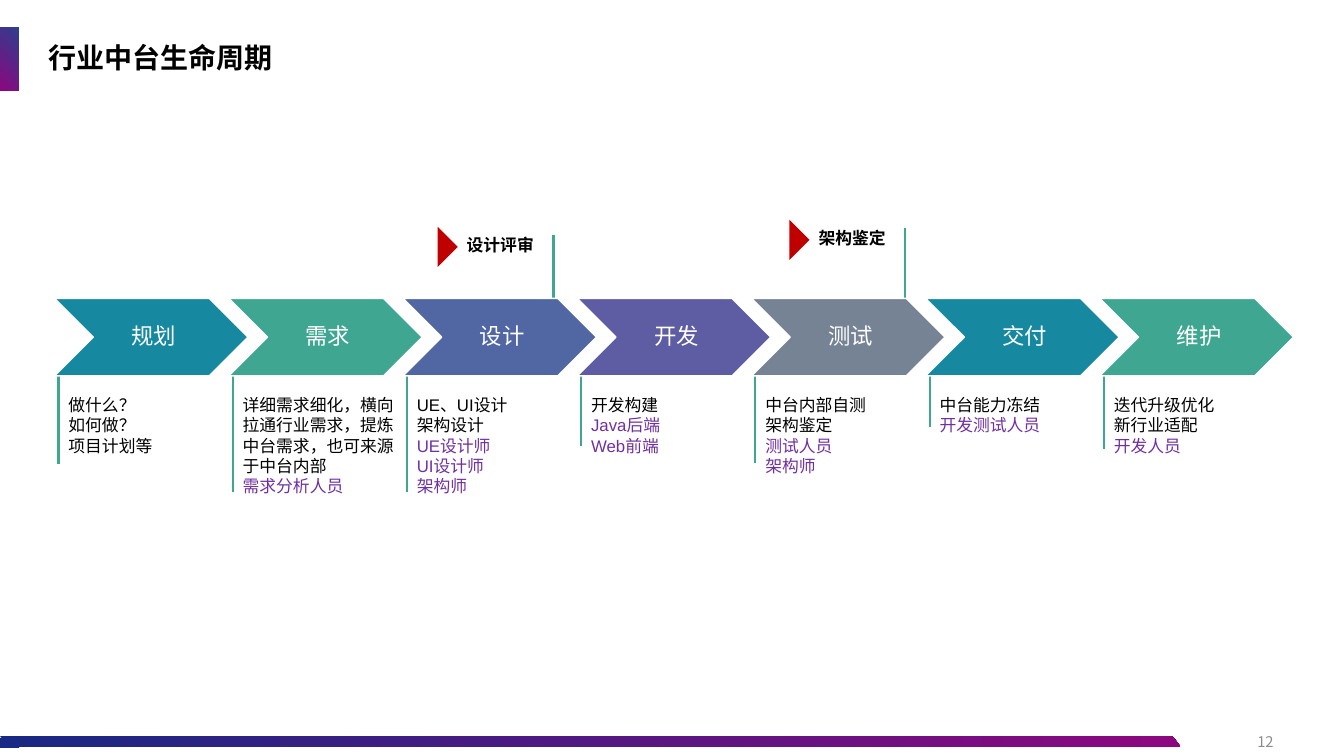
from lxml.etree import SubElement
from pptx import Presentation
from pptx.dml.color import RGBColor
from pptx.enum.shapes import MSO_CONNECTOR, MSO_SHAPE
from pptx.enum.text import MSO_ANCHOR, MSO_AUTO_SIZE, PP_ALIGN
from pptx.oxml.ns import qn
from pptx.util import Inches, Pt

BLACK, WHITE, PURPLE, RED = "000000", "FFFFFF", "7030A0", "C00000"
TEAL, GREEN, BLUE, VIOLET, GREY = "1689A0", "3FA692", "5167A4", "5E5CA2", "768395"
NAVY, MAGENTA = "182983", "8D0780"
LATIN_FONT, CHINESE_FONT = "Arial", "Noto Sans CJK SC"
STAGE_LEFT, STAGE_TOP, STAGE_PITCH = 0.54, 2.96, 1.728
NOTE_LEFT, NOTE_TOP, RULE_TOP = 0.58, 3.87, 3.72

STAGES = [
    ("规划", TEAL, 4.6, ["做什么？", "如何做？", "项目计划等"], []),
    ("需求", GREEN, 4.88,
     ["详细需求细化，横向拉通行业需求，提炼中台需求，也可来源于中台内部"], ["需求分析人员"]),
    ("设计", BLUE, 4.88, ["UE、UI设计", "架构设计"], ["UE设计师", "UI设计师", "架构师"]),
    ("开发", VIOLET, 4.42, ["开发构建"], ["Java后端", "Web前端"]),
    ("测试", GREY, 4.59, ["中台内部自测", "架构鉴定"], ["测试人员", "架构师"]),
    ("交付", TEAL, 4.24, ["中台能力冻结"], ["开发测试人员"]),
    ("维护", GREEN, 4.45, ["迭代升级优化", "新行业适配"], ["开发人员"]),
]
REVIEWS = [("设计评审", 5.49, 2.33), ("架构鉴定", 8.98, 2.26)]


def color(value):
    return RGBColor.from_string(value)


def add_span(para, text, size, ink, bold=False, font=LATIN_FONT):
    span = para.add_run()
    span.text = text
    span.font.size = Pt(size)
    span.font.bold = bold
    span.font.color.rgb = color(ink)
    span.font.name = font
    SubElement(span.font._element, qn("a:ea"), typeface=CHINESE_FONT)


def add_text(page, left, top, width, height, lines, size, bold=False, wrap=True,
             anchor=MSO_ANCHOR.TOP, align=PP_ALIGN.LEFT, spacing=1.0, font=LATIN_FONT):
    box = page.shapes.add_textbox(Inches(left), Inches(top), Inches(width), Inches(height))
    frame = box.text_frame
    frame.word_wrap = wrap
    frame.vertical_anchor = anchor
    if anchor == MSO_ANCHOR.TOP:
        frame.auto_size = MSO_AUTO_SIZE.SHAPE_TO_FIT_TEXT
    for index, (text, ink) in enumerate(lines):
        para = frame.add_paragraph() if index else frame.paragraphs[0]
        para.alignment = align
        para.line_spacing = spacing
        add_span(para, text, size, ink, bold, font)


def add_block(page, kind, left, top, width, height, fill=None):
    shape = page.shapes.add_shape(
        kind, Inches(left), Inches(top), Inches(width), Inches(height))
    shape.shadow.inherit = False
    shape.line.fill.background()
    if fill:
        shape.fill.solid()
        shape.fill.fore_color.rgb = color(fill)
    return shape


def fill_gradient(shape, angle):
    shape.fill.gradient()
    shape.fill.gradient_angle = angle
    for stop, position, tint in zip(shape.fill.gradient_stops, (0, 1), (NAVY, MAGENTA)):
        stop.position = position
        stop.color.rgb = color(tint)


def add_rule(page, x, top, bottom):
    rule = page.shapes.add_connector(
        MSO_CONNECTOR.STRAIGHT, Inches(x), Inches(top), Inches(x), Inches(bottom))
    rule.line.color.rgb = color(GREEN)
    rule.line.width = Pt(1.5)
    SubElement(rule._element.spPr, qn("a:effectLst"))


def add_frame(page):
    marker = add_block(page, MSO_SHAPE.RECTANGLE, 0, 0.27, 0.18, 0.63)
    fill_gradient(marker, 225)
    first_stop = marker._element.spPr.find(".//" + qn("a:srgbClr"))
    SubElement(first_stop, qn("a:alpha"), val="90000")
    add_text(page, 9.73, 7.16, 3, 0.4, [("12", "8C8C8C")], 10.5,
             anchor=MSO_ANCHOR.MIDDLE, align=PP_ALIGN.RIGHT, font=CHINESE_FONT)
    footer = add_block(page, MSO_SHAPE.PARALLELOGRAM, 0, 7.3, 11.71, 0.11)
    footer.adjustments[0] = 0.775
    footer._element.spPr.xfrm.set("flipH", "1")
    fill_gradient(footer, 180)
    add_block(page, MSO_SHAPE.RECTANGLE, 0, 7.32, 0.19, 0.1, "1A2983")
    add_text(page, 0.38, 0.27, 11.1, 0.63, [("行业中台生命周期", BLACK)], 20,
             bold=True, anchor=MSO_ANCHOR.MIDDLE, spacing=0.9)


def add_review(page, label, x, top):
    add_rule(page, x, top, top + 0.86)
    add_text(page, x - 0.96, top - 0.05, 0.88, 0.3, [(label, BLACK)], 12,
             bold=True, wrap=False)
    flag = add_block(page, MSO_SHAPE.FLOWCHART_MERGE, x - 1.25, top + 0.02, 0.4, 0.2, RED)
    flag.rotation = 270


def add_note(page, x, bottom, tasks, roles):
    lines = [(task, BLACK) for task in tasks] + [(role, PURPLE) for role in roles]
    add_rule(page, x, RULE_TOP, bottom)
    add_text(page, x, NOTE_TOP, 1.72, 0.1 + 0.2 * len(lines), lines, 12)


def add_stage(page, x, name, fill):
    stage = add_block(page, MSO_SHAPE.CHEVRON, x, STAGE_TOP, 1.92, 0.77, fill)
    stage.line.color.rgb = color(WHITE)
    stage.line.width = Pt(1)
    frame = stage.text_frame
    frame.word_wrap = True
    frame.vertical_anchor = MSO_ANCHOR.MIDDLE
    frame.margin_left = Inches(0.07)
    frame.margin_top = frame.margin_right = frame.margin_bottom = Inches(0.02)
    para = frame.paragraphs[0]
    para.alignment = PP_ALIGN.CENTER
    para.line_spacing = 0.9
    add_span(para, name, 16, WHITE)


def main():
    deck = Presentation()
    deck.slide_width, deck.slide_height = Inches(13.33), Inches(7.5)
    page = deck.slides.add_slide(deck.slide_layouts[6])
    add_frame(page)
    for label, x, top in REVIEWS:
        add_review(page, label, x, top)
    for index, (name, fill, bottom, tasks, roles) in enumerate(STAGES):
        offset = index * STAGE_PITCH
        add_note(page, NOTE_LEFT + offset, bottom, tasks, roles)
        add_stage(page, STAGE_LEFT + offset, name, fill)
    deck.save("out.pptx")


if __name__ == "__main__":
    main()
